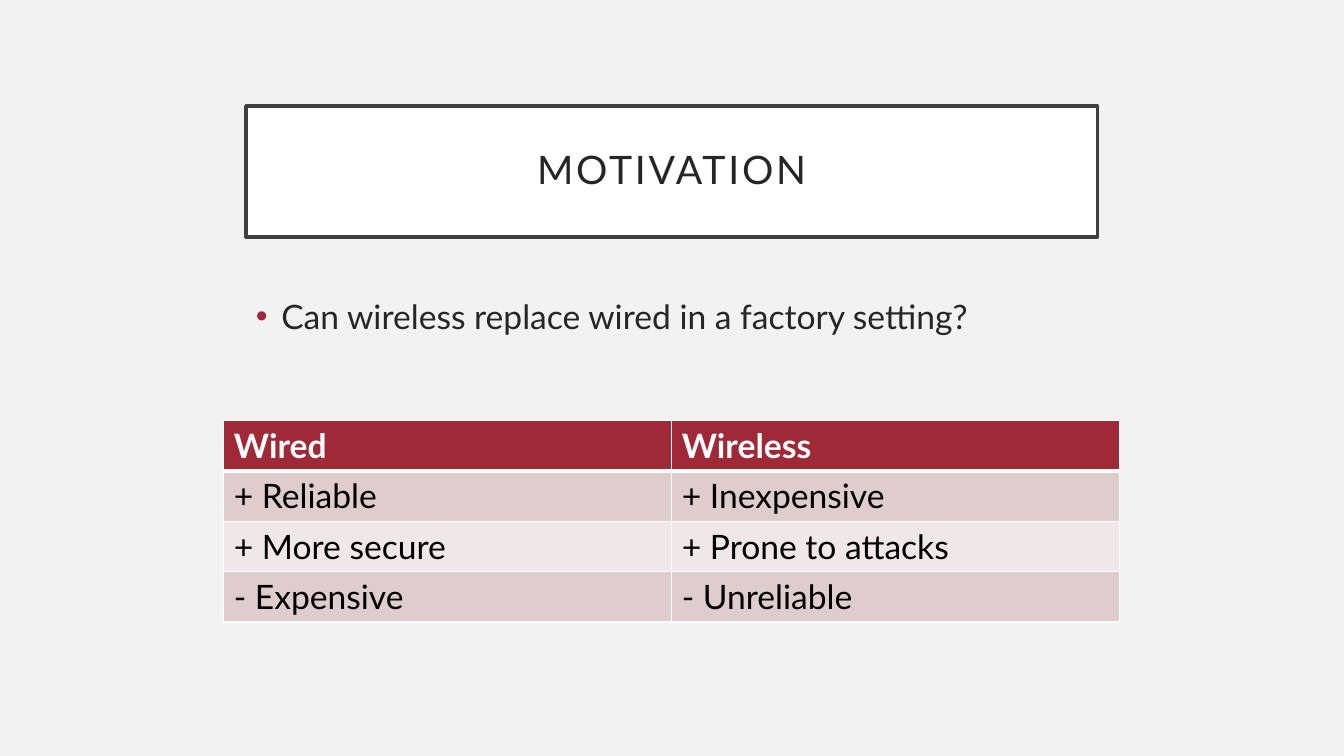
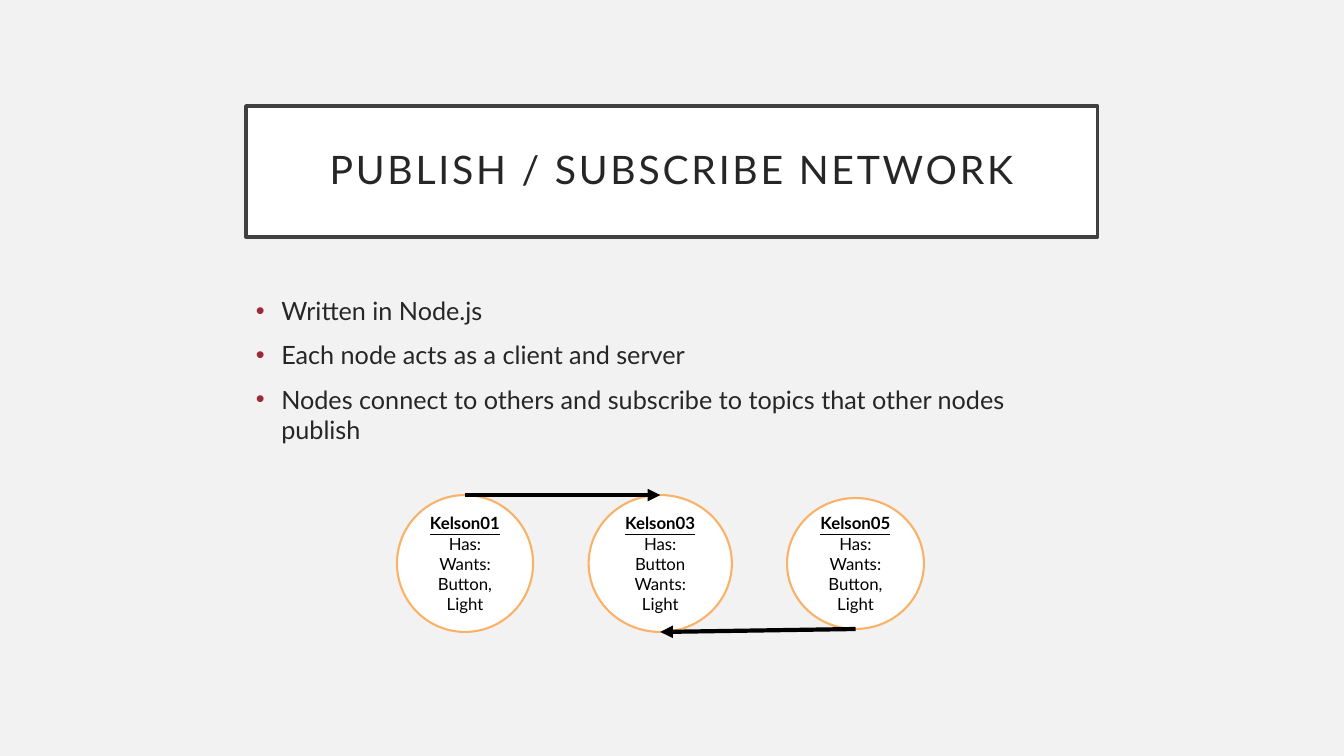
from lxml.etree import SubElement as Sub
from pptx import Presentation
from pptx.dml.color import RGBColor as RGB
from pptx.enum.shapes import MSO_CONNECTOR as Link, MSO_SHAPE as Form
from pptx.enum.text import MSO_ANCHOR as Anchor, PP_ALIGN as Align
from pptx.oxml.ns import qn
from pptx.util import Cm, Pt

FONT = "Lato"
HUES = {
    "back": "F2F2F2", "white": "FFFFFF", "black": "000000",
    "frame": "404040", "text": "262626", "red": "9F2936",
    "dark": "DFCDCE", "light": "F0E8E8", "ring": "F9B268",
}
LEFT, WIDE = Cm(6.2), Cm(21.46)  # shared by title and body


def hue(name):
    return RGB.from_string(HUES[name])


def paint(fill, name):
    fill.solid()
    fill.fore_color.rgb = hue(name)


def style(para, size, name, bold=False, under=False):
    for run in para.runs:
        font = run.font
        font.name, font.size = FONT, Pt(size)
        font.bold, font.underline = bold, under
        font.color.rgb = hue(name)


def panel(slide, form, box, edge, width):
    """White outlined shape with centred text."""
    shape = slide.shapes.add_shape(form, *box)
    shape.shadow.inherit = False
    paint(shape.fill, "white")
    shape.line.color.rgb = hue(edge)
    shape.line.width = Pt(width)
    shape.text_frame.word_wrap = True
    shape.text_frame.vertical_anchor = Anchor.MIDDLE
    return shape


def title(slide, text):
    box = LEFT, Cm(2.67), WIDE, Cm(3.3)
    frame = panel(slide, Form.RECTANGLE, box, "frame", 2.5).text_frame
    frame.margin_left = frame.margin_right = Cm(0.5)
    frame.margin_top = frame.margin_bottom = Cm(0.5)
    frame.text = text
    para = frame.paragraphs[0]
    para.alignment = Align.CENTER
    para.line_spacing = 0.9
    style(para, 28, "text")
    para.runs[0].font._element.set("spc", "200")


def bullets(slide, lines, size):
    frame = slide.shapes.add_textbox(LEFT, Cm(7.32), WIDE, Cm(8.61)).text_frame
    frame.word_wrap = True
    frame.text = "\n".join(lines)
    for para in frame.paragraphs:
        para.space_before = Pt(10)
        style(para, size, "text")
        props = para._p.get_or_add_pPr()
        props.set("marL", str(Cm(0.64)))
        props.set("indent", str(-Cm(0.64)))
        tint = Sub(props, qn("a:buClr"))
        Sub(tint, qn("a:srgbClr"), val=HUES["red"])
        Sub(props, qn("a:buFont"), typeface="Arial")
        Sub(props, qn("a:buChar"), char="•")


def border(cell, side, width):
    line = Sub(cell._tc.get_or_add_tcPr(), qn("a:ln" + side), w=str(Pt(width)))
    Sub(Sub(line, qn("a:solidFill")), qn("a:srgbClr"), val=HUES["white"])


def table(slide, rows):
    high, wide = Cm(1.27), Cm(11.29)
    count = len(rows[0])
    grid = slide.shapes.add_table(len(rows), count, Cm(5.64), Cm(10.59),
                                  wide * count, high * len(rows)).table
    for r, row in enumerate(rows):
        fill = "red" if r == 0 else "dark" if r % 2 else "light"
        for c, text in enumerate(row):
            cell = grid.cell(r, c)
            # The rule below the header is thicker
            for side, width in (("L", 1), ("R", 1), ("T", 3 if r == 1 else 1),
                                ("B", 3 if r == 0 else 1)):
                border(cell, side, width)
            paint(cell.fill, fill)
            cell.text = text
            style(cell.text_frame.paragraphs[0], 24,
                  "black" if r else "white", bold=r == 0)


def node(slide, mid, wide, high, lines):
    box = mid - wide // 2, Cm(14.2) - high // 2, wide, high
    shape = panel(slide, Form.OVAL, box, "ring", 1.5)
    shape.text_frame.text = "\n".join(lines)
    for i, para in enumerate(shape.text_frame.paragraphs):
        para.alignment = Align.CENTER
        style(para, 12, "black", bold=i == 0, under=i == 0)
    return shape


def pole(shape, low):
    """Top or bottom point of an oval."""
    return shape.left + shape.width // 2, shape.top + shape.height * low


def arrow(slide, start, end, low):
    line = slide.shapes.add_connector(Link.STRAIGHT, *pole(start, low),
                                      *pole(end, low))
    line.line.color.rgb = hue("black")
    line.line.width = Pt(3)
    Sub(line.line._get_or_add_ln(), qn("a:tailEnd"), type="triangle")
    Sub(line._element.spPr, qn("a:effectLst"))


def page(deck, head, lines, size):
    slide = deck.slides.add_slide(deck.slide_layouts[6])
    title(slide, head)
    bullets(slide, lines, size)
    return slide


def main():
    deck = Presentation()
    deck.slide_width, deck.slide_height = Cm(33.87), Cm(19.05)
    paint(deck.slide_master.background.fill, "back")

    # Motivation
    slide = page(deck, "MOTIVATION",
                 ["Can wireless replace wired in a factory setting?"], 24)
    table(slide, [
        ("Wired", "Wireless"),
        ("+ Reliable", "+ Inexpensive"),
        ("+ More secure", "+ Prone to attacks"),
        ("- Expensive", "- Unreliable"),
    ])

    # Network
    slide = page(deck, "PUBLISH / SUBSCRIBE NETWORK", [
        "Written in Node.js",
        "Each node acts as a client and server",
        "Nodes connect to others and subscribe to topics that other nodes "
        "publish",
    ], 18)
    specs = [
        (3.43, 3.45, ("Kelson01", "Has:", "Wants: Button, Light")),
        (3.61, 3.45, ("Kelson03", "Has: Button", "Wants: Light")),
        (3.45, 3.3, ("Kelson05", "Has:", "Wants: Button, Light")),
    ]
    first, hub, last = [
        node(slide, Cm(11.72 + 4.92 * i), Cm(wide), Cm(high), lines)
        for i, (wide, high, lines) in enumerate(specs)]
    arrow(slide, first, hub, low=0)
    arrow(slide, last, hub, low=1)

    deck.save("out.pptx")


main()
